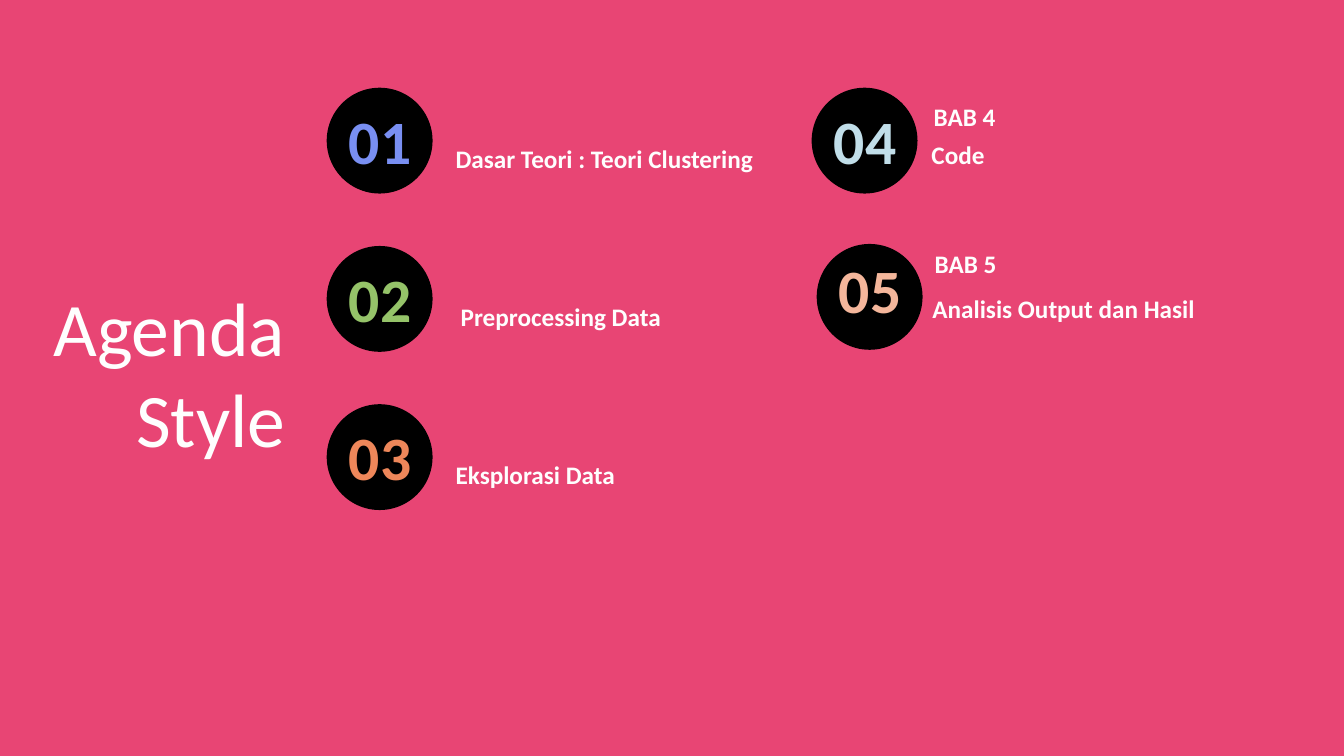
from pptx import Presentation
from pptx.dml.color import RGBColor
from pptx.enum.shapes import MSO_SHAPE
from pptx.enum.text import MSO_ANCHOR, MSO_AUTO_SIZE, PP_ALIGN
from pptx.util import Inches, Pt

WHITE = "FEFEFE"


def color(hex_code):
    return RGBColor.from_string(hex_code)


def write(box, lines, size, hex_code, bold=True, align=PP_ALIGN.LEFT,
          anchor=MSO_ANCHOR.TOP, inset=0.1):
    frame = box.text_frame
    frame.word_wrap = True
    frame.auto_size = MSO_AUTO_SIZE.NONE
    frame.vertical_anchor = anchor
    frame.margin_left = frame.margin_right = Inches(inset)
    frame.margin_top = frame.margin_bottom = Inches(0.05)
    for index, line in enumerate(lines):
        para = frame.add_paragraph() if index else frame.paragraphs[0]
        para.alignment = align
        para.line_spacing = 1.0
        span = para.add_run()
        span.text = line
        span.font.name = "Calibri"
        span.font.size = Pt(size)
        span.font.bold = bold
        span.font.color.rgb = color(hex_code)


deck = Presentation()
deck.slide_width, deck.slide_height = Inches(13.33), Inches(7.5)
page = deck.slides.add_slide(deck.slide_layouts[5])
page.background.fill.solid()
page.background.fill.fore_color.rgb = color("E84574")

# Title
title = page.shapes.title
title.left, title.top = Inches(0.1), Inches(2.73)
title.width, title.height = Inches(2.83), Inches(1.92)
write(title, ["Agenda", "Style"], 54, WHITE, bold=False,
      align=PP_ALIGN.RIGHT, anchor=MSO_ANCHOR.MIDDLE)

# Agenda items: number, its color, circle left and top, number top,
# then the labels as (text, left, top, inset)
items = [
    ("01", "798FF2", 3.24, 0.87, 0.97,
     [("Dasar Teori : Teori Clustering", 4.42, 1.37, 0.1)]),
    ("02", "95C369", 3.24, 2.44, 2.54,
     [("Preprocessing Data", 4.47, 2.94, 0.1)]),
    ("03", "EE875A", 3.24, 4.01, 4.11,
     [("Eksplorasi Data", 4.42, 4.51, 0.1)]),
    ("04", "C1DEE9", 8.05, 0.87, 0.97,
     [("BAB 4", 9.14, 0.96, 0.12), ("Code", 9.14, 1.33, 0.1)]),
    ("05", "F4B69B", 8.1, 2.42, 2.45,
     [("BAB 5", 9.15, 2.41, 0.12),
      ("Analisis Output dan Hasil", 9.15, 2.86, 0.1)]),
]
for number, number_color, left, top, number_top, labels in items:
    # Black circle
    circle = page.shapes.add_shape(MSO_SHAPE.OVAL, Inches(left), Inches(top),
                                   Inches(1.05), Inches(1.05))
    circle.shadow.inherit = False
    circle.fill.solid()
    circle.fill.fore_color.rgb = color("000000")
    circle.line.fill.background()

    # Number over the circle
    number_box = page.shapes.add_textbox(Inches(left + 0.02), Inches(number_top),
                                         Inches(1.02), Inches(0.84))
    write(number_box, [number], 44, number_color,
          align=PP_ALIGN.CENTER, inset=0.12)

    # Labels beside the circle
    for label, label_left, label_top, inset in labels:
        label_box = page.shapes.add_textbox(Inches(label_left), Inches(label_top),
                                            Inches(4.02), Inches(0.4))
        write(label_box, [label], 18, WHITE, inset=inset)

deck.save("out.pptx")
